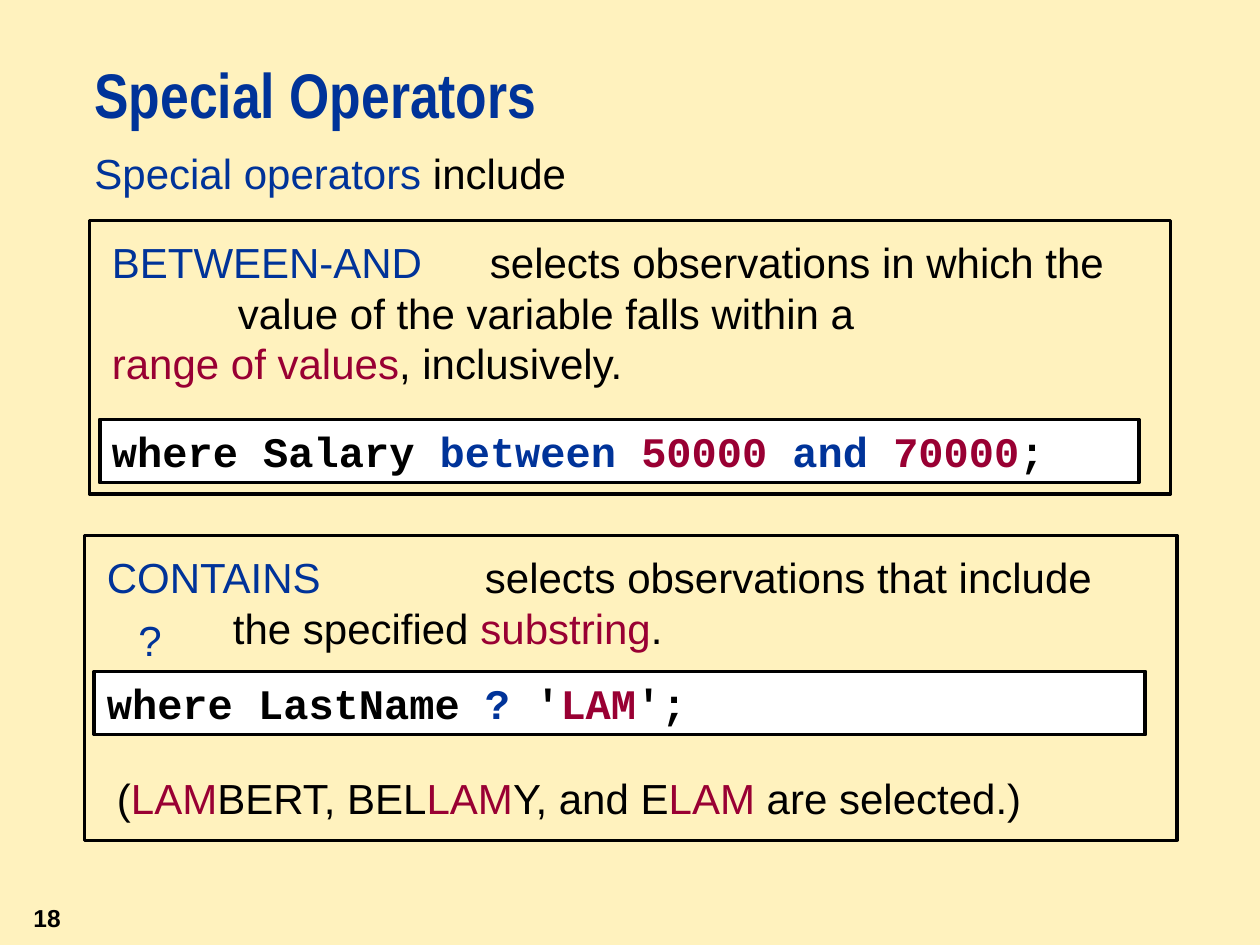
from pptx import Presentation
from pptx.dml.color import RGBColor
from pptx.enum.shapes import MSO_SHAPE
from pptx.enum.text import MSO_ANCHOR, PP_ALIGN
from pptx.oxml.ns import qn
from pptx.util import Inches, Pt
from lxml.etree import SubElement

CREAM, WHITE, BLACK = "FFF2BE", "FFFFFF", "000000"
BLUE, RED = "003399", "990033"


def color(hex_code):
    return RGBColor.from_string(hex_code)


def add_span(para, text, shade=BLACK, font="Arial", size=24, bold=False):
    span = para.add_run()
    span.text = text
    span.font.name = font
    span.font.size = Pt(size)
    span.font.bold = bold
    span.font.color.rgb = color(shade)


def add_tabs(para, stops):
    tab_list = SubElement(para._p.get_or_add_pPr(), qn("a:tabLst"))
    for stop in stops:
        SubElement(tab_list, qn("a:tab"), pos=str(Inches(stop)), algn="l")


class SlideBuilder:
    """Holds the slide and the shared style of its elements."""

    def __init__(self, deck):
        self.page = deck.slides.add_slide(deck.slide_layouts[5])
        background = self.page.background.fill
        background.solid()
        background.fore_color.rgb = color(CREAM)

    def fill_text(self, box, lines, inset=True, align=PP_ALIGN.LEFT, tabs=(), **style):
        """Fill a box with lines, each a list of (text, colour) pairs."""
        frame = box.text_frame
        frame.word_wrap = True
        frame.vertical_anchor = MSO_ANCHOR.TOP
        frame.margin_left = frame.margin_right = Inches(0.1 if inset else 0)
        frame.margin_top = frame.margin_bottom = Inches(0.05 if inset else 0)
        para = frame.paragraphs[0]
        para.alignment = align
        if tabs:
            add_tabs(para, tabs)
        for index, line in enumerate(lines):
            if index:
                para.add_line_break()
            for text, shade in line:
                add_span(para, text, shade, **style)
        return para

    def title(self, text, left, top, width, height):
        box = self.page.shapes.title
        box.left, box.top = Inches(left), Inches(top)
        box.width, box.height = Inches(width), Inches(height)
        para = self.fill_text(box, [[(text, BLUE)]], inset=False,
                              font="Arial Narrow", size=36, bold=True)
        para.line_spacing = Pt(39)

    def text(self, lines, left, top, width, height, **style):
        box = self.page.shapes.add_textbox(
            Inches(left), Inches(top), Inches(width), Inches(height))
        self.fill_text(box, lines, **style)

    def frame(self, left, top, width, height, weight=2, fill=None):
        box = self.page.shapes.add_shape(
            MSO_SHAPE.RECTANGLE,
            Inches(left), Inches(top), Inches(width), Inches(height))
        box.shadow.inherit = False
        box.line.color.rgb = color(BLACK)
        box.line.width = Pt(weight)
        if fill:
            box.fill.solid()
            box.fill.fore_color.rgb = color(fill)
        else:
            box.fill.background()
        return box

    def code(self, spans, left, top, width, height=0.5):
        box = self.frame(left, top, width, height, weight=2.25, fill=WHITE)
        self.fill_text(box, [spans], font="Courier New", bold=True)


def main():
    deck = Presentation()
    deck.slide_width, deck.slide_height = Inches(10), Inches(7.5)
    slide = SlideBuilder(deck)
    operator_tabs = (1, 3)

    # Heading and lead-in
    slide.title("Special Operators", 0.75, 0.5, 8.58, 0.75)
    slide.text([[("Special operators", BLUE), (" include", BLACK)]],
               0.75, 1.17, 6.67, 0.59, inset=False)

    # BETWEEN-AND panel
    slide.frame(0.71, 1.75, 8.58, 2.17)
    slide.text([
        [("BETWEEN-AND\t", BLUE), ("selects observations in which the", BLACK)],
        [("\tvalue of the variable falls within a", BLACK)],
        [("range of values", RED), (", inclusively.", BLACK)],
    ], 0.79, 1.83, 8.5, 1.3, tabs=operator_tabs)
    slide.code([("where Salary ", BLACK), ("between ", BLUE), ("50000 ", RED),
                ("and ", BLUE), ("70000", RED), (";", BLACK)],
               0.79, 3.33, 8.25)

    # CONTAINS panel
    slide.frame(0.67, 4.25, 8.67, 2.42)
    slide.text([
        [("CONTAINS\t", BLUE), ("selects observations that include", BLACK)],
        [("\tthe specified ", BLACK), ("substring", RED), (".", BLACK)],
    ], 0.75, 4.33, 8.25, 0.9, tabs=operator_tabs)
    slide.text([[("?", BLUE)]], 1, 4.83, 0.4, 0.4)
    slide.code([("where LastName ", BLACK), ("?", BLUE), (" '", BLACK),
                ("LAM", RED), ("';", BLACK)],
               0.75, 5.33, 8.34)
    slide.text([[("(", BLACK), ("LAM", RED), ("BERT, BEL", BLACK), ("LAM", RED),
                 ("Y, and E", BLACK), ("LAM", RED), (" are selected.)", BLACK)]],
               0.83, 6.08, 8.42, 0.67)

    # Page number
    slide.text([[("18", BLACK)]], 0, 7.12, 0.58, 0.34,
               align=PP_ALIGN.RIGHT, size=14, bold=True)

    deck.save("out.pptx")


if __name__ == "__main__":
    main()
